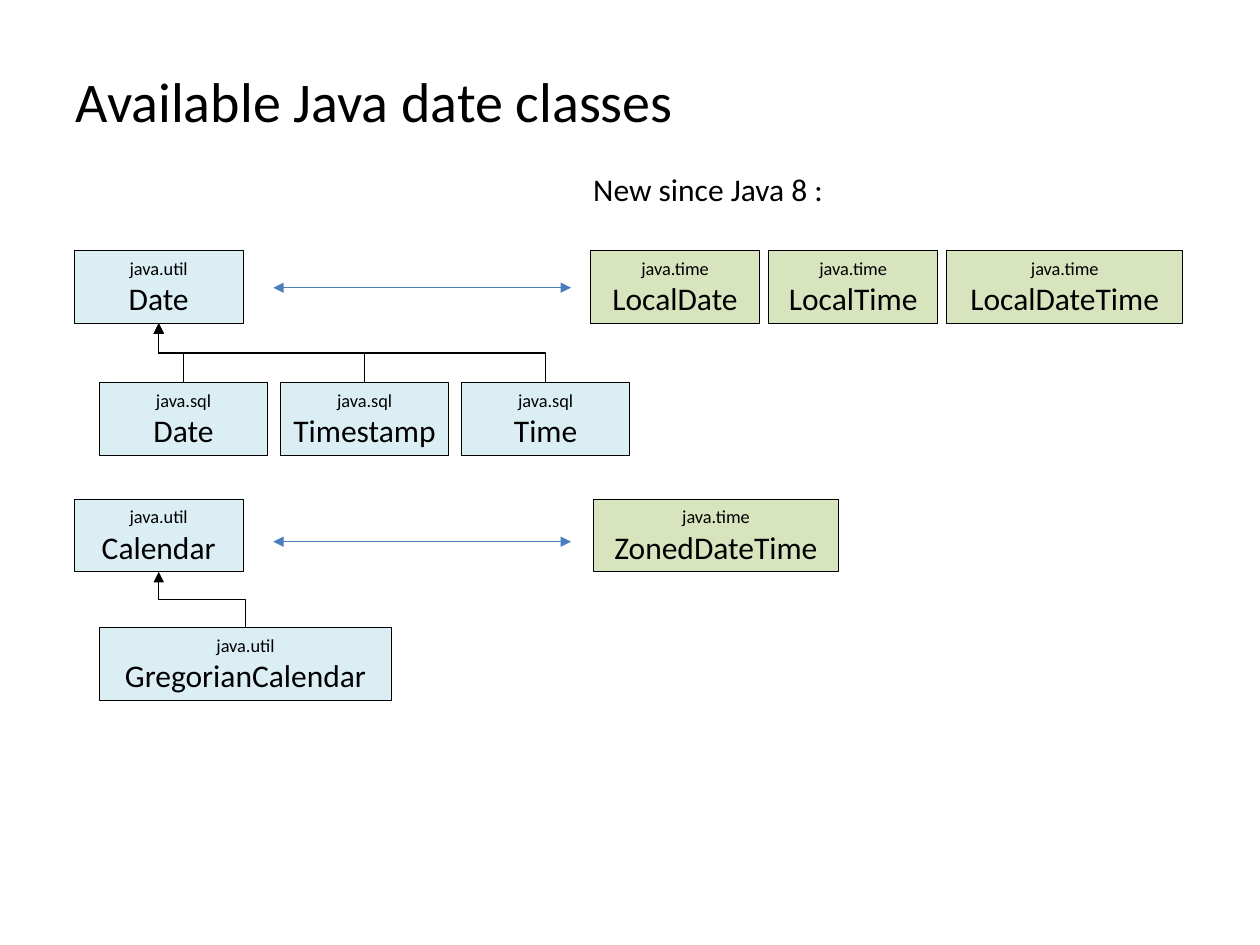
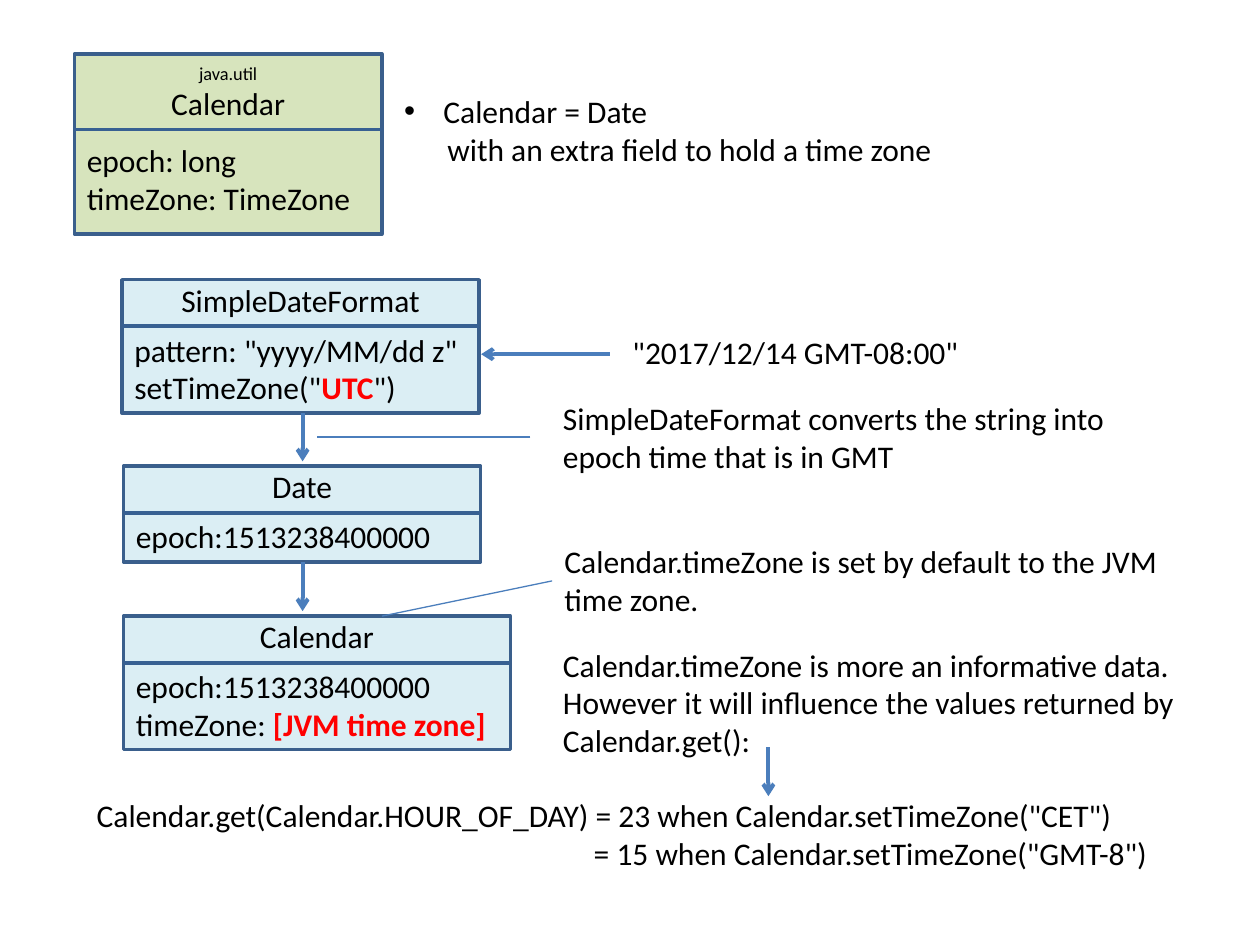
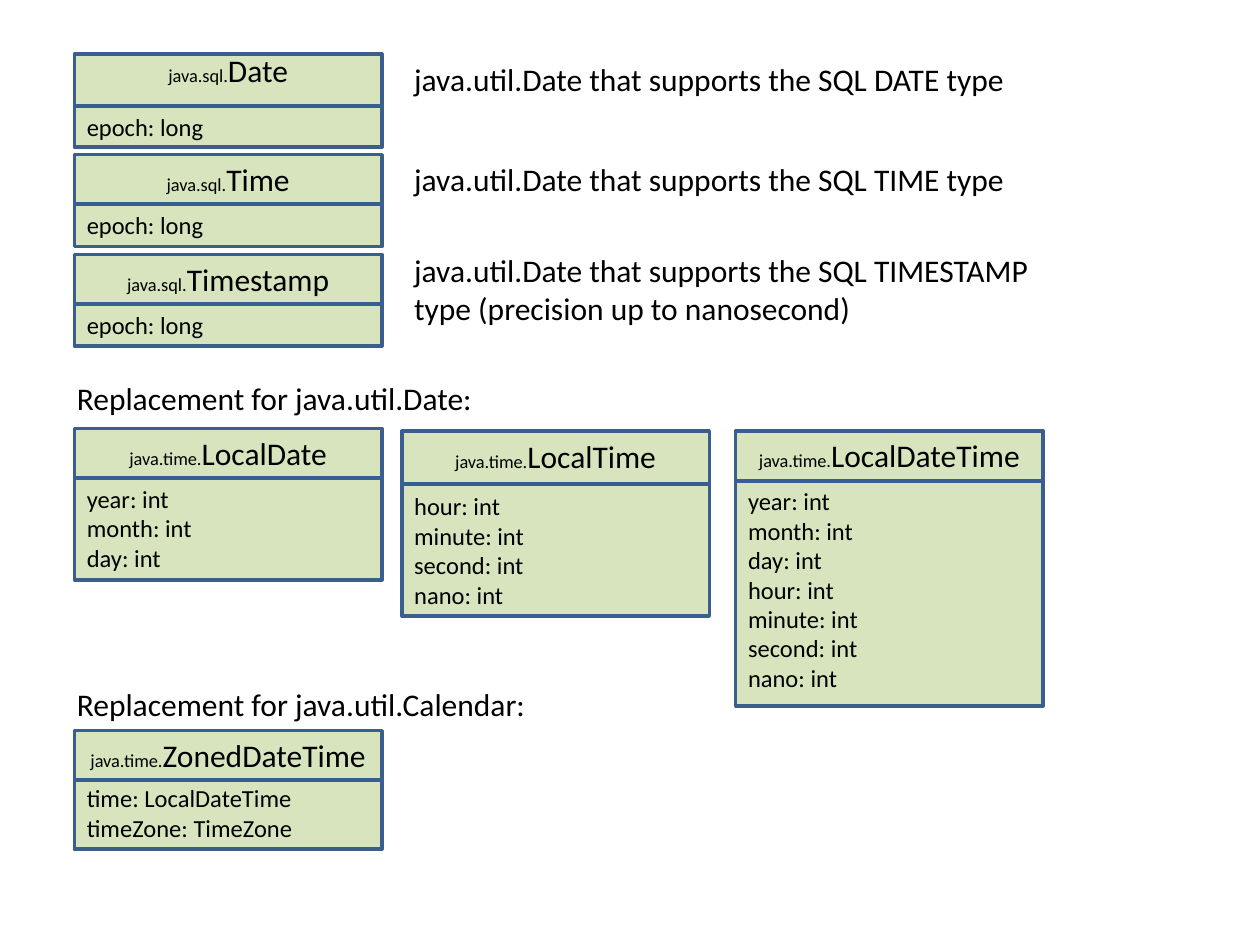
from lxml.etree import SubElement
from pptx import Presentation
from pptx.dml.color import RGBColor
from pptx.enum.shapes import MSO_CONNECTOR, MSO_SHAPE
from pptx.enum.text import MSO_ANCHOR, MSO_AUTO_SIZE, PP_ALIGN
from pptx.oxml.ns import qn
from pptx.util import Cm, Pt

COLOURS = {
    "text": "000000",
    "accent": "FF0000",
    "blue": "DBEEF4",
    "green": "D7E4BD",
    "border": "3A5F8C",
    "divider": "376092",
    "arrow": "4B7EBC",
}
FONT = "Calibri"
SMALL, MEDIUM, LARGE, TITLE = 10.5, 14, 18, 32
TITLE_ONLY, BLANK = 5, 6


def colour(name):
    return RGBColor.from_string(COLOURS[name])


class Canvas:
    """Holds the deck, its style and the current slide. Lengths are in cm."""

    def __init__(self):
        self.deck = Presentation()
        self.deck.slide_width, self.deck.slide_height = Cm(25.4), Cm(19.05)
        self.page = None

    def new_page(self, title=None):
        layout = BLANK if title is None else TITLE_ONLY
        self.page = self.deck.slides.add_slide(self.deck.slide_layouts[layout])
        if title is not None:
            holder = self.page.shapes.title
            holder.left, holder.top = Cm(1.27), Cm(1.22)
            holder.width, holder.height = Cm(22.86), Cm(1.7)
            frame = holder.text_frame
            frame.auto_size = MSO_AUTO_SIZE.NONE
            frame.vertical_anchor = MSO_ANCHOR.TOP
            self.fill_lines(frame, [title], TITLE, PP_ALIGN.LEFT)

    def fill_lines(self, frame, lines, size, align):
        """A line is a string, or a list of (text, size, accented) spans."""
        frame.word_wrap = True
        for number, line in enumerate(lines):
            para = frame.add_paragraph() if number else frame.paragraphs[0]
            para.alignment = align
            para.font.name = FONT
            para.font.size = Pt(size)
            para.font.color.rgb = colour("text")
            if isinstance(line, str):
                para.add_run().text = line
                continue
            for text, span_size, accented in line:
                span = para.add_run()
                span.text = text
                span.font.size = Pt(span_size)
                if accented:
                    span.font.bold = True
                    span.font.color.rgb = colour("accent")

    def text(self, left, top, width, height, lines, size=LARGE, align=PP_ALIGN.LEFT):
        box = self.page.shapes.add_textbox(Cm(left), Cm(top), Cm(width), Cm(height))
        self.fill_lines(box.text_frame, lines, size, align)
        box.text_frame.auto_size = MSO_AUTO_SIZE.SHAPE_TO_FIT_TEXT
        return box.text_frame.paragraphs

    def indent(self, para, left, first=0, bullet=None):
        props = para._p.get_or_add_pPr()
        props.set("marL", str(Cm(left)))
        props.set("indent", str(Cm(first)))
        if bullet:
            mark = SubElement(props, qn("a:buChar"), char=bullet)
            face = SubElement(props, qn("a:buFont"), typeface="Arial")
            props.insert(0, mark)
            props.insert(0, face)

    def rectangle(self, left, top, width, height, fill, border, weight):
        box = self.page.shapes.add_shape(
            MSO_SHAPE.RECTANGLE, Cm(left), Cm(top), Cm(width), Cm(height))
        box.shadow.inherit = False
        box.fill.solid()
        box.fill.fore_color.rgb = colour(fill)
        box.line.color.rgb = colour(border)
        box.line.width = Pt(weight)
        return box

    def node(self, left, top, package_name, name, fill="blue", width=3.4):
        """A plain class: package above name."""
        box = self.rectangle(left, top, width, NODE_HEIGHT, fill, "text", 0.5)
        lines = [[(package_name, SMALL, False)], name]
        self.fill_lines(box.text_frame, lines, LARGE, PP_ALIGN.CENTER)

    def class_box(self, left, top, width, height, fill, heading, members,
                  size=MEDIUM, title=-0.02, divider=1.0, body=0.99):
        """A class with members; title, divider and body are offsets from top."""
        self.rectangle(left, top, width, height, fill, "border", 2)
        self.text(left, top + title, width, 1.02, heading, align=PP_ALIGN.CENTER)
        self.line((left, top + divider), (left + width, top + divider), "divider", 2.25)
        self.text(left, top + body, width, height - body, members, size)

    def line(self, start, end, tint="arrow", weight=0.75, head=None, tail=None,
             kind=MSO_CONNECTOR.STRAIGHT):
        link = self.page.shapes.add_connector(
            kind, *(Cm(value) for value in (*start, *end)))
        link.line.color.rgb = colour(tint)
        link.line.width = Pt(weight)
        props = link._element.spPr
        stroke = props.find(qn("a:ln"))
        for tag, style in (("a:headEnd", head), ("a:tailEnd", tail)):
            if style:
                SubElement(stroke, qn(tag), type=style)
        SubElement(props, qn("a:effectLst"))
        return link

    def inherits(self, child, parent):
        """An elbow that leaves upwards: drawn sideways, then turned."""
        middle_x, middle_y = (child[0] + parent[0]) / 2, (child[1] + parent[1]) / 2
        rise, spread = (child[1] - parent[1]) / 2, (child[0] - parent[0]) / 2
        link = self.line((middle_x - rise, middle_y + spread),
                         (middle_x + rise, middle_y - spread),
                         "text", tail="triangle", kind=MSO_CONNECTOR.ELBOW)
        link._element.spPr.find(qn("a:xfrm")).set("rot", str(270 * 60000))


NODE_WIDTH, NODE_HEIGHT = 3.4, 1.47
canvas = Canvas()

# Slide 1: overview of the classes
canvas.new_page("Available Java date classes")
canvas.text(11.71, 3.3, 10, 1.02, ["New since Java 8 :"])
date_top, sql_top, calendar_top, gregorian_top = 5.05, 7.72, 10.06, 12.65
parent_x = 1.5 + NODE_WIDTH / 2

# Older classes and their subclasses
canvas.node(1.5, date_top, "java.util", "Date")
for column, name in enumerate(["Date", "Timestamp", "Time"]):
    left = 2 + column * 3.65
    canvas.node(left, sql_top, "java.sql", name)
    canvas.inherits((left + NODE_WIDTH / 2, sql_top), (parent_x, date_top + NODE_HEIGHT))
canvas.node(1.5, calendar_top, "java.util", "Calendar")
canvas.node(2, gregorian_top, "java.util", "GregorianCalendar", width=5.9)
canvas.inherits((2 + 5.9 / 2, gregorian_top), (parent_x, calendar_top + NODE_HEIGHT))

# Newer classes
left = 11.91
for name, width in [("LocalDate", 3.4), ("LocalTime", 3.4), ("LocalDateTime", 4.75)]:
    canvas.node(left, date_top, "java.time", name, "green", width)
    left += width + 0.19
canvas.node(11.96, calendar_top, "java.time", "ZonedDateTime", "green", 4.95)
for y in (5.8, 10.92):
    canvas.line((5.51, y), (11.51, y), head="triangle", tail="triangle")

# Slide 2: Calendar and its time zone
canvas.new_page()
canvas.class_box(1.5, 1.09, 6.2, 3.63, "green",
                 [[("java.util", SMALL, False)], "Calendar"],
                 ["epoch: long", "timeZone: TimeZone"],
                 LARGE, title=0.03, divider=1.52, body=1.63)
summary = canvas.text(7.9, 1.73, 17.2, 1.8,
                      ["Calendar = Date", "with an extra field to hold a time zone"])
canvas.indent(summary[0], 0.79, -0.79, "•")
canvas.indent(summary[1], 0.87)

# Conversion steps, from string to Calendar
epoch = "epoch:1513238400000"
steps = [
    (2.46, 5.64, 7.2, 2.69, "SimpleDateFormat",
     ['pattern: "yyyy/MM/dd z"',
      [('setTimeZone("', LARGE, False), ("UTC", LARGE, True), ('")', LARGE, False)]]),
    (2.49, 9.4, 7.2, 1.93, "Date", [epoch]),
    (2.49, 12.42, 7.8, 2.69, "Calendar",
     [epoch, [("timeZone: ", LARGE, False), ("[JVM time zone]", LARGE, True)]]),
]
for left, top, width, height, name, members in steps:
    canvas.class_box(left, top, width, height, "blue", [name], members,
                     LARGE, title=-0.1, divider=0.94, body=0.9)
canvas.line((12.29, 7.14), (9.7, 7.14), weight=2.25, tail="arrow")
for x, top, bottom in [(6.1, 8.33, 9.3), (6.1, 11.33, 12.32), (15.49, 15.06, 16.05)]:
    canvas.line((x, top), (x, bottom), weight=2.25, tail="arrow")

# Remarks with their pointers
canvas.text(12.5, 6.58, 7.4, 1.02, ['"2017/12/14 GMT-08:00"'])
canvas.text(11.1, 7.92, 12.12, 1.8,
            ["SimpleDateFormat converts the string into epoch time that is in GMT"])
canvas.line((10.69, 8.81), (6.4, 8.81))
canvas.text(11.13, 10.8, 12.7, 1.8,
            ["Calendar.timeZone is set by default to the JVM time zone."])
canvas.line((11.13, 11.71), (7.7, 12.42))
canvas.text(11.1, 12.89, 13.41, 2.57,
            ["Calendar.timeZone is more an informative data. However it will "
             "influence the values returned by Calendar.get():"])
results = canvas.text(1.7, 15.93, 22, 1.8, [
    'Calendar.get(Calendar.HOUR_OF_DAY) = 23 when Calendar.setTimeZone("CET")',
    '= 15 when Calendar.setTimeZone("GMT-8")'])
canvas.indent(results[1], 10.02)

# Slide 3: SQL classes and replacements
canvas.new_page()


def heading(package_name, name):
    return [[(package_name + ".", SMALL, False), (name, LARGE, False)]]


def integers(*names):
    return [name + ": int" for name in names]


DAY = integers("year", "month", "day")
CLOCK = integers("hour", "minute", "second", "nano")

# SQL types
sql_types = [
    ("Date", 1.09, 1.88, 1.09, "DATE type", dict(title=-0.18, divider=1.04, body=1.04)),
    ("Time", 3.12, 1.85, 3.1, "TIME type", {}),
    ("Timestamp", 5.13, 1.85, 4.93, "TIMESTAMP type (precision up to nanosecond)", {}),
]
for name, top, height, note_top, note, offsets in sql_types:
    canvas.class_box(1.5, top, 6.2, height, "green", heading("java.sql", name),
                     ["epoch: long"], **offsets)
    canvas.text(8.1, note_top, 13.59, 1.02,
                ["java.util.Date that supports the SQL " + note])

# Replacements
for top, name in [(7.52, "Date"), (13.69, "Calendar")]:
    canvas.text(1.3, top, 13.59, 1.02, [f"Replacement for java.util.{name}:"])
replacements = [
    ("LocalDate", 1.5, 8.64, 3.05, DAY, {}),
    ("LocalTime", 8.1, 8.69, 3.73, CLOCK, dict(title=0, divider=1.07, body=1.09)),
    ("LocalDateTime", 14.83, 8.69, 5.54, DAY + CLOCK, {}),
    ("ZonedDateTime", 1.5, 14.73, 2.39,
     ["time: LocalDateTime", "timeZone: TimeZone"], dict(body=0.94)),
]
for name, left, top, height, members, offsets in replacements:
    canvas.class_box(left, top, 6.2, height, "green", heading("java.time", name),
                     members, **offsets)

canvas.deck.save("out.pptx")
